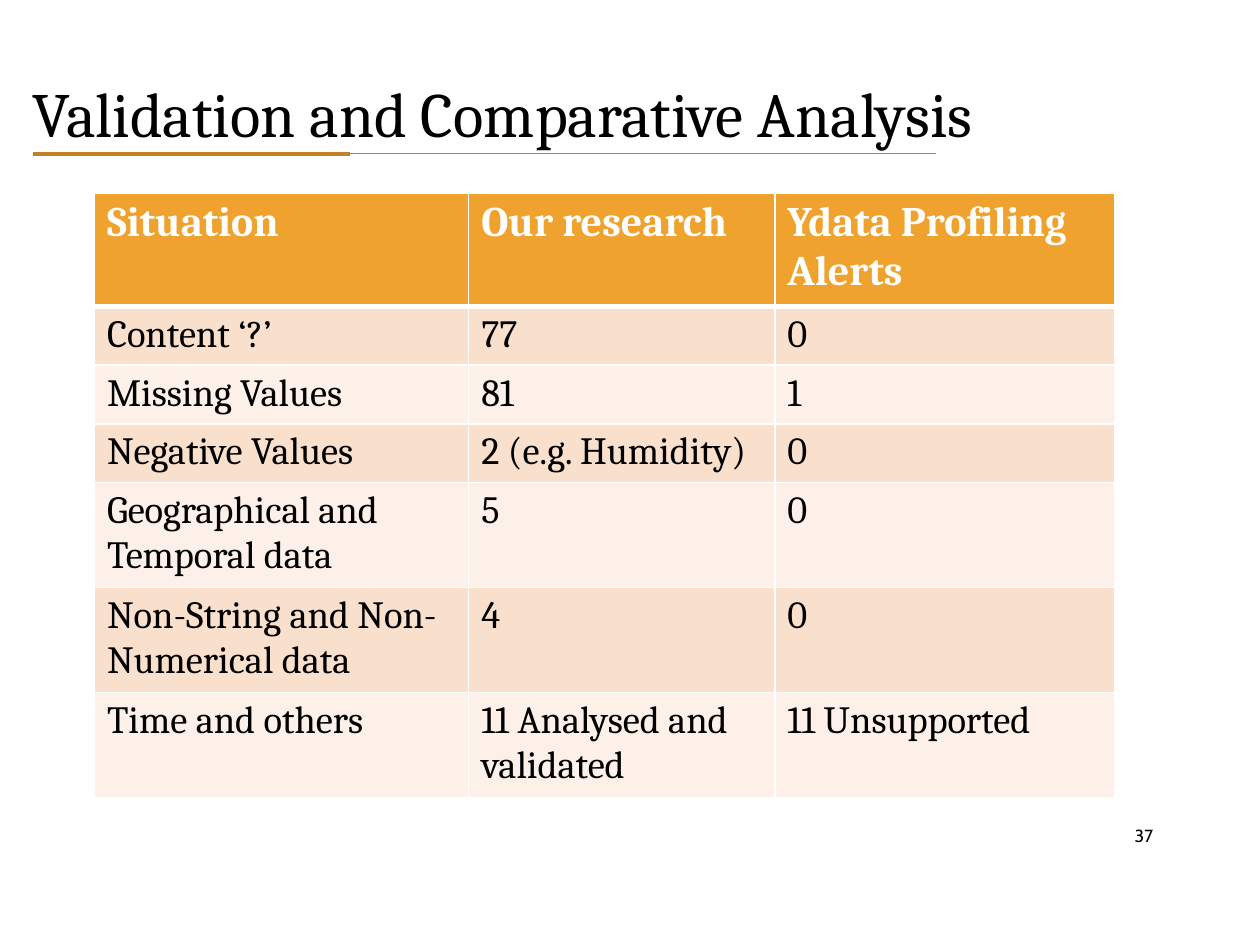
from lxml.etree import SubElement as Sub
from pptx import Presentation
from pptx.dml.color import RGBColor as RGB
from pptx.enum.shapes import MSO_CONNECTOR as LINE
from pptx.enum.text import MSO_ANCHOR as ANCHOR, MSO_AUTO_SIZE as AUTO, PP_ALIGN as ALIGN
from pptx.oxml.ns import qn
from pptx.util import Inches, Pt

BLACK = RGB(0x00, 0x00, 0x00)
WHITE = RGB(0xFF, 0xFF, 0xFF)
BROWN = RGB(0xC0, 0x82, 0x25)
ORANGE = RGB(0xF0, 0xA2, 0x2E)
PEACH = RGB(0xF9, 0xE0, 0xCD)
CREAM = RGB(0xFC, 0xF0, 0xE8)

COLS = [2.97, 2.43, 2.7]
HEIGHTS = [0.86, 0.44, 0.44, 0.44, 0.79, 0.79, 0.75]
ROWS = [
    ("Situation", "Our research", "Ydata Profiling Alerts"),
    ("Content ‘?’", "77", "0"),
    ("Missing Values", "81", "1"),
    ("Negative Values", "2 (e.g. Humidity)", "0"),
    ("Geographical and Temporal data", "5", "0"),
    ("Non-String and Non- Numerical data", "4", "0"),
    ("Time and others", "11 Analysed and validated", "11 Unsupported"),
]


def write(frame, text, size=22, font="Cambria", color=BLACK, bold=False, align=ALIGN.LEFT):
    para = frame.paragraphs[0]
    para.alignment = align
    run = para.add_run()
    run.text = text
    run.font.size = Pt(size)
    run.font.name = font
    run.font.bold = bold
    run.font.color.rgb = color


def edge(cell, side, width, color=WHITE):
    """Draw one border of a cell; side is L, R, T or B."""
    line = Sub(cell._tc.get_or_add_tcPr(), qn(f"a:ln{side}"), w=str(Pt(width)))
    fill = Sub(line, qn("a:solidFill"))
    Sub(fill, qn("a:srgbClr"), val=str(color))


class Deck:
    def __init__(self, wide, high):
        self.prs = Presentation()
        self.prs.slide_width = Inches(wide)
        self.prs.slide_height = Inches(high)
        self.slide = self.prs.slides.add_slide(self.prs.slide_layouts[6])

    def text(self, box, text, anchor=ANCHOR.TOP, auto=AUTO.NONE, **style):
        frame = self.slide.shapes.add_textbox(*map(Inches, box)).text_frame
        frame.word_wrap = True
        frame.auto_size = auto
        frame.vertical_anchor = anchor
        write(frame, text, **style)

    def rule(self, left, right, y, width):
        ends = map(Inches, (left, y, right, y))
        line = self.slide.shapes.add_connector(LINE.STRAIGHT, *ends)
        line.line.color.rgb = BROWN
        line.line.width = Pt(width)
        Sub(line._element.spPr, qn("a:effectLst"))

    def table(self, left, top):
        box = map(Inches, (left, top, sum(COLS), sum(HEIGHTS)))
        table = self.slide.shapes.add_table(len(ROWS), len(COLS), *box).table
        for col, width in zip(table.columns, COLS):
            col.width = Inches(width)
        for i, (row, high) in enumerate(zip(ROWS, HEIGHTS)):
            table.rows[i].height = Inches(high)
            for j, text in enumerate(row):
                self.cell(table.cell(i, j), text, i)

    def cell(self, cell, text, row):
        head = row == 0
        edge(cell, "L", 1)
        edge(cell, "R", 1)
        edge(cell, "T", 3 if row == 1 else 1)
        edge(cell, "B", 3 if head else 1)
        cell.fill.solid()
        cell.fill.fore_color.rgb = ORANGE if head else PEACH if row % 2 else CREAM
        if head:
            write(cell.text_frame, text, size=24, color=WHITE, bold=True)
        else:
            write(cell.text_frame, text)


def main():
    deck = Deck(10, 7.5)
    deck.text((8.62, 6.43, 0.63, 0.4), "37", anchor=ANCHOR.MIDDLE,
              size=10, font="Cabin", align=ALIGN.RIGHT)
    deck.text((0.16, 0.54, 9.25, 0.71), "Validation and Comparative Analysis",
              auto=AUTO.SHAPE_TO_FIT_TEXT, size=36)
    deck.rule(0.26, 2.78, 1.22, 2.25)
    deck.rule(2.56, 7.43, 1.22, 0.75)
    deck.table(0.75, 1.53)
    deck.prs.save("out.pptx")


if __name__ == "__main__":
    main()
